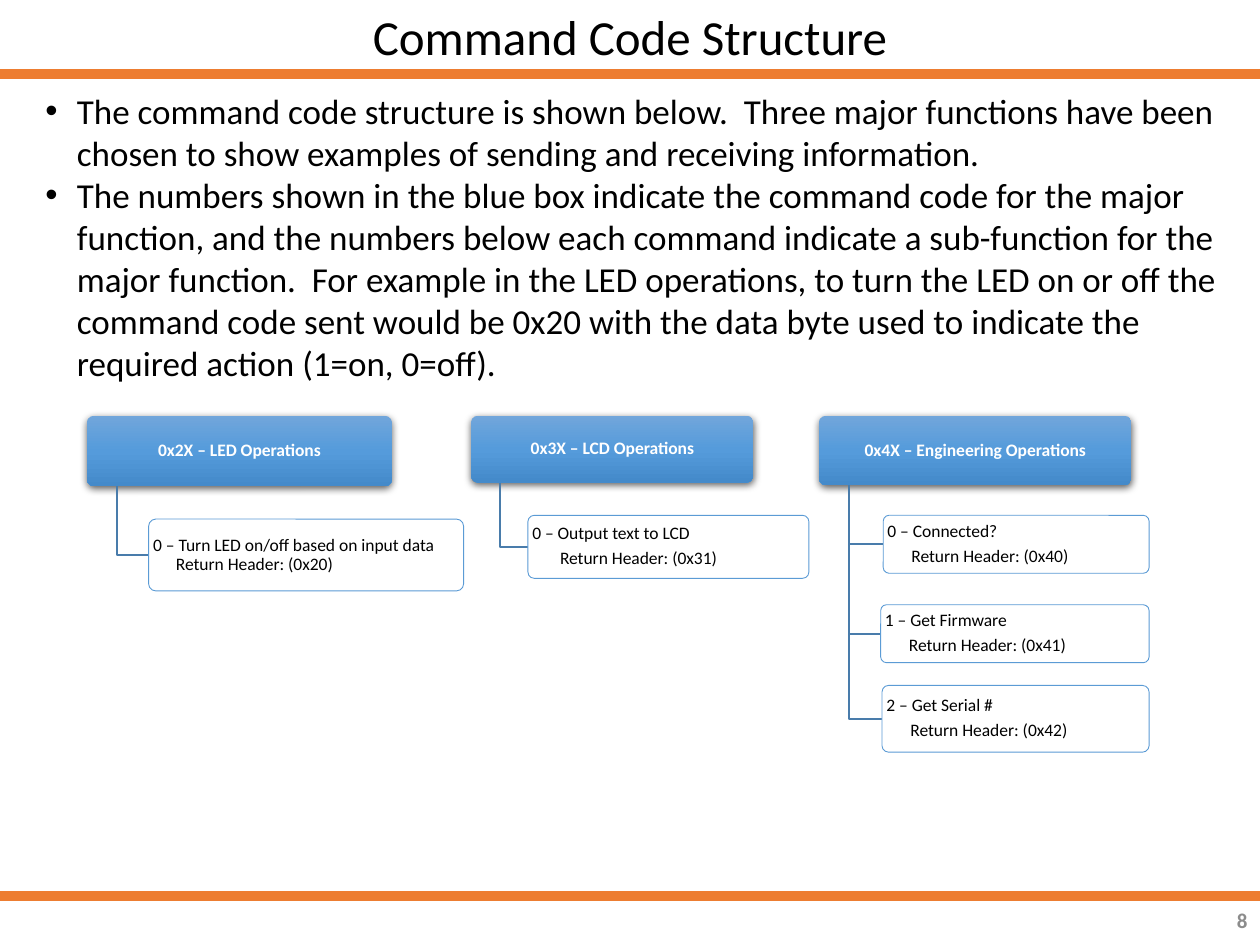
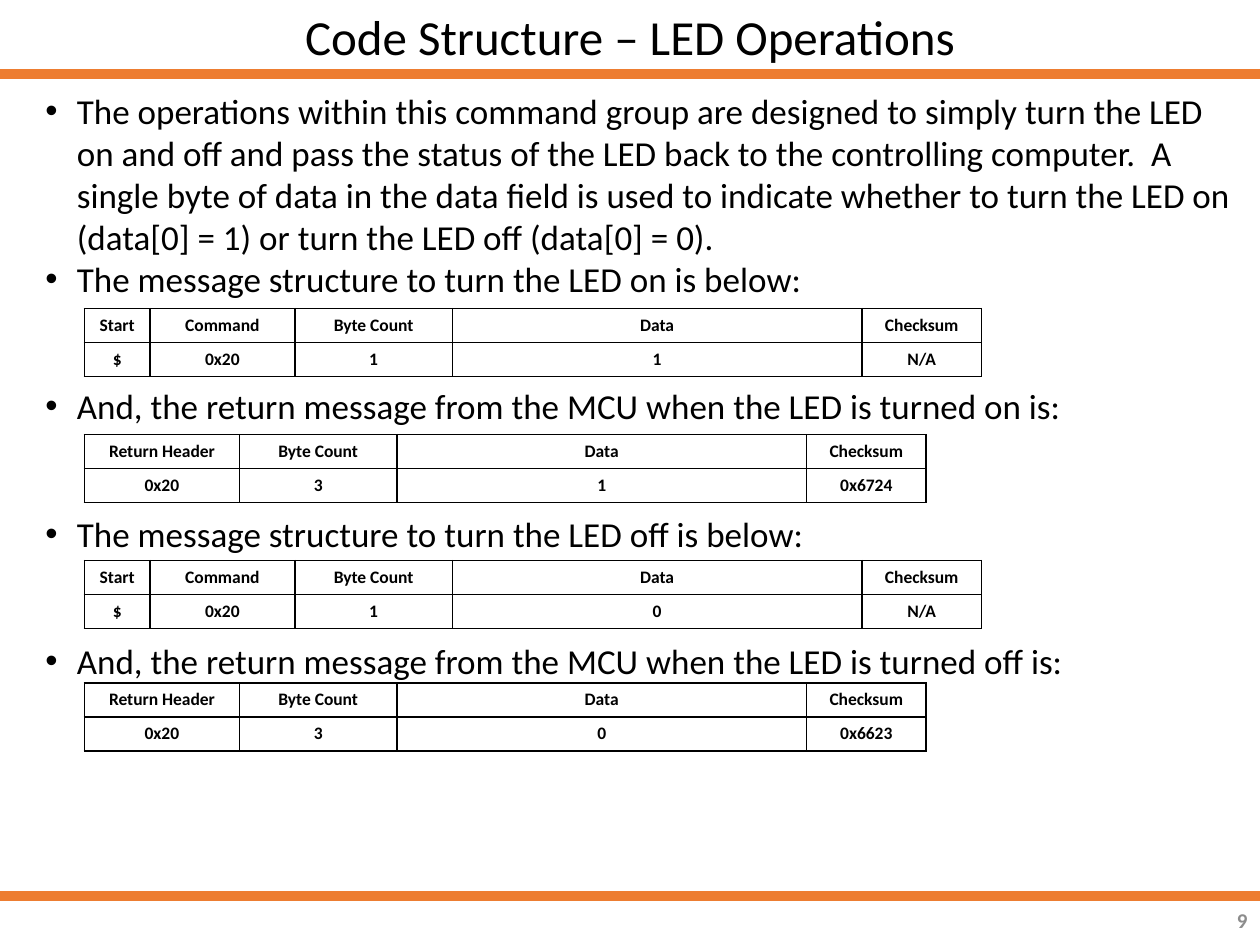
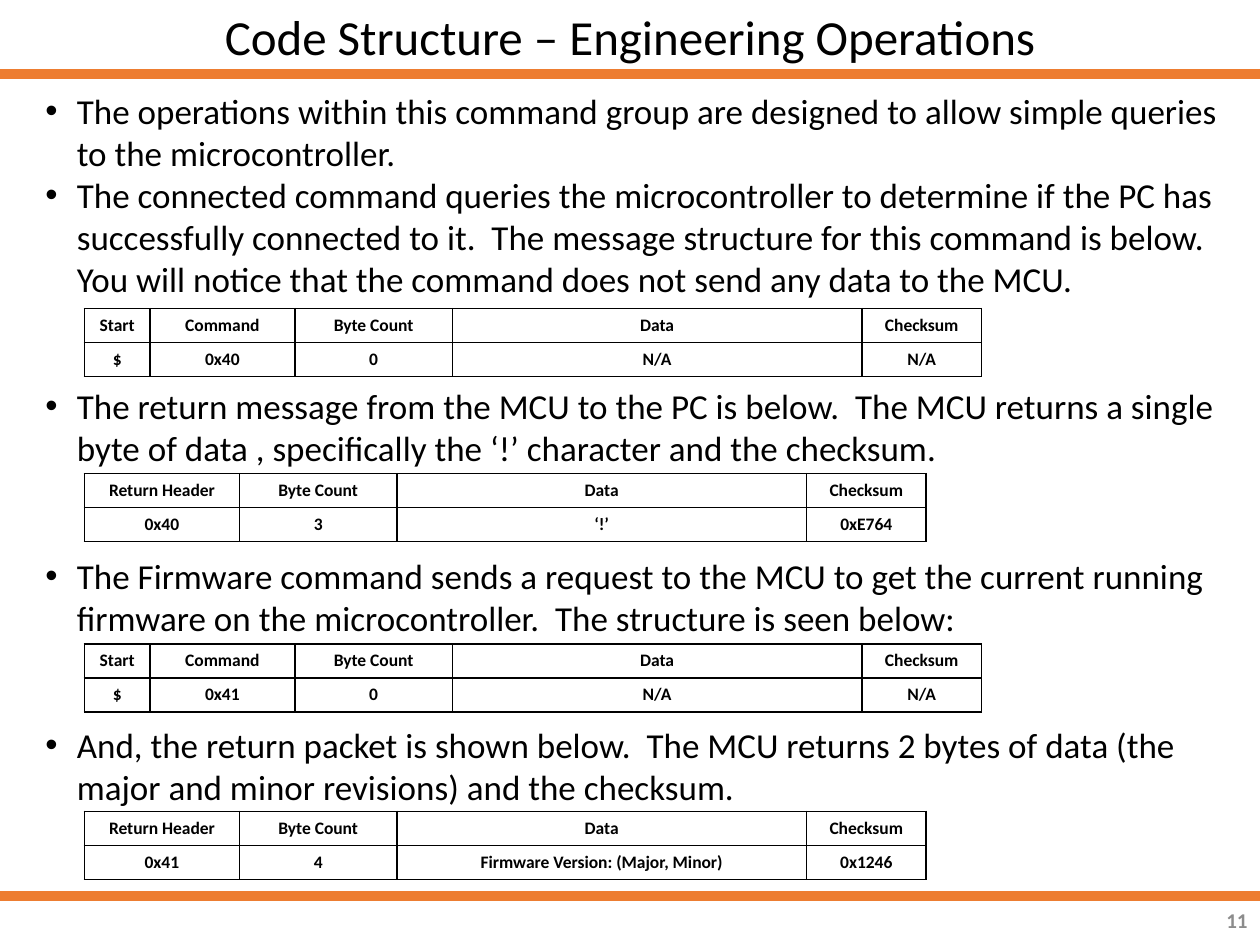
"""Build three slides on a serial command code structure."""
import copy
import pptx
import pptx.dml.color
import pptx.enum.shapes
import pptx.enum.text
import pptx.oxml
import pptx.oxml.ns
import pptx.util

Inches, Pt = pptx.util.Inches, pptx.util.Pt
qn = pptx.oxml.ns.qn
align = pptx.enum.text.PP_ALIGN
anchor = pptx.enum.text.MSO_ANCHOR
kinds = pptx.enum.shapes.MSO_SHAPE
ns = pptx.oxml.ns.nsdecls("a")
hues = {
    "text": "000000", "white": "FFFFFF", "band": "ED7D31", "page": "8C8C8C",
    "edge": "5B9BD5", "link": "497CAB",
    "top": "71A6DB", "mid": "559BDB", "base": "448ACA",
}


def rgb(name):
    return pptx.dml.color.RGBColor.from_string(hues[name])


def style(para, size, hue="text", bold=False, side=align.LEFT):
    para.alignment = side
    for run in para.runs:
        run.font.name = "Calibri"
        run.font.size = Pt(size)
        run.font.bold = bold
        run.font.color.rgb = rgb(hue)


pages = [
    ("8", "Command Code Structure", [
        "The command code structure is shown below.  Three major functions have been chosen "
        "to show examples of sending and receiving information.",
        "The numbers shown in the blue box indicate the command code for the major function, "
        "and the numbers below each command indicate a sub-function for the major function.  "
        "For example in the LED operations, to turn the LED on or off the command code sent "
        "would be 0x20 with the data byte used to indicate the required action (1=on, 0=off).",
    ], 2.46, []),
    ("9", "Code Structure – LED Operations", [
        "The operations within this command group are designed to simply turn the LED on and "
        "off and pass the status of the LED back to the controlling computer.  A single byte "
        "of data in the data field is used to indicate whether to turn the LED on "
        "(data[0] = 1) or turn the LED off (data[0] = 0).",
        "The message structure to turn the LED on is below:",
        "And, the return message from the MCU when the LED is turned on is:",
        "The message structure to turn the LED off is below:",
        "And, the return message from the MCU when the LED is turned off is:",
    ], 5.49, [
        (2.45, ["$", "0x20", "1", "1", "N/A"]),
        (3.45, ["0x20", "3", "1", "0x6724"]),
        (4.45, ["$", "0x20", "1", "0", "N/A"]),
        (5.42, ["0x20", "3", "0", "0x6623"]),
    ]),
    ("11", "Code Structure – Engineering Operations", [
        "The operations within this command group are designed to allow simple queries to the "
        "microcontroller.",
        "The connected command queries the microcontroller to determine if the PC has "
        "successfully connected to it.  The message structure for this command is below.  "
        "You will notice that the command does not send any data to the MCU.",
        "The return message from the MCU to the PC is below.  The MCU returns a single byte of "
        "data , specifically the ‘!’ character and the checksum.",
        "The Firmware command sends a request to the MCU to get the current running firmware "
        "on the microcontroller.  The structure is seen below:",
        "And, the return packet is shown below.  The MCU returns 2 bytes of data (the major "
        "and minor revisions) and the checksum.",
    ], 5.82, [
        (2.45, ["$", "0x40", "0", "N/A", "N/A"]),
        (3.76, ["0x40", "3", "‘!’", "0xE764"]),
        (5.11, ["$", "0x41", "0", "N/A", "N/A"]),
        (6.44, ["0x41", "4", "Firmware Version: (Major, Minor)", "0x1246"]),
    ]),
]
tail = [("Byte Count", 1.25), ("Data", 3.25), ("Checksum", 0.95)]
heads = {
    5: [("Start", 0.52), ("Command", 1.15)] + tail,
    4: [("Return Header", 1.23)] + tail,
}

deck = pptx.Presentation()
deck.slide_width, deck.slide_height = Inches(10), Inches(7.5)

for num, name, points, tall, grids in pages:
    slide = deck.slides.add_slide(deck.slide_layouts[1])
    title, body = slide.placeholders
    title.left, title.top, title.width, title.height = 0, 0, Inches(10), Inches(0.57)
    title.text_frame.text = name
    style(title.text_frame.paragraphs[0], 28, side=align.CENTER)

    body.left, body.top = Inches(0.26), Inches(0.66)
    body.width, body.height = Inches(9.61), Inches(tall)
    body.text_frame.text = "\n".join(points)
    for i, para in enumerate(body.text_frame.paragraphs):
        style(para, 20)
        para.space_before = Pt(48.8 if i > 1 else 0)
        props = para._p.get_or_add_pPr()
        props.set("marL", str(Inches(0.25)))
        props.set("indent", str(Inches(-0.25)))
    for frame in (title.text_frame, body.text_frame):
        frame.auto_size = pptx.enum.text.MSO_AUTO_SIZE.NONE

    for y in (0.59, 7.11):
        band = slide.shapes.add_connector(
            pptx.enum.shapes.MSO_CONNECTOR.STRAIGHT, 0, Inches(y), Inches(10), Inches(y))
        band.line.color.rgb = rgb("band")
        band.line.width = Pt(5.5)
        band._element.spPr.append(pptx.oxml.parse_xml(f"<a:effectLst {ns}/>"))

    page = slide.shapes.add_textbox(Inches(7.75), Inches(7.1), Inches(2.25), Inches(0.4))
    page.text_frame.word_wrap = True
    page.text_frame.vertical_anchor = anchor.MIDDLE
    page.text_frame.text = num
    style(page.text_frame.paragraphs[0], 12, "page", True, align.RIGHT)

    for y, vals in grids:
        cols = heads[len(vals)]
        wide = sum(w for label, w in cols)
        grid = slide.shapes.add_table(
            2, len(cols), Inches(0.67), Inches(y), Inches(wide), Inches(0.54)).table
        grid.first_row = grid.horz_banding = False
        for c, (label, w) in enumerate(cols):
            grid.columns[c].width = Inches(w)
            for r, text in enumerate((label, vals[c])):
                cell = grid.cell(r, c)
                cell.text_frame.text = text
                style(cell.text_frame.paragraphs[0], 10, bold=True, side=align.CENTER)
                cell.fill.background()
                for k, edge in enumerate("LRTB"):
                    cell._tc.tcPr.insert(k, pptx.oxml.parse_xml(
                        f'<a:ln{edge} {ns} w="12700"><a:solidFill>'
                        f'<a:srgbClr val="{hues["text"]}"/></a:solidFill></a:ln{edge}>'))

trees = [
    ("0x2X – LED Operations", 0.69, 2.42, 0.56, 0.93, 0, [
        (["0 – Turn LED on/off based on input data  Return Header: (0x20)"],
         1.18, 4.12, 2.5, 0.57)]),
    ("0x3X – LCD Operations", 3.74, 2.24, 0.53, 3.97, 0.22, [
        (["0 – Output text to LCD", "Return Header: (0x31)"], 4.19, 4.09, 2.23, 0.5)]),
    ("0x4X – Engineering Operations", 6.5, 2.48, 0.55, 6.74, 0.19, [
        (["0 – Connected?", "Return Header: (0x40)"], 7.01, 4.09, 2.11, 0.46),
        (["1 – Get Firmware", "Return Header: (0x41)"], 6.99, 4.8, 2.13, 0.46),
        (["2 – Get Serial #", "Return Header: (0x42)"], 7, 5.44, 2.12, 0.53)]),
]
shapes = deck.slides[0].shapes
top = 3.3
for name, left, wide, high, stem, inset, leaves in trees:
    boxes = [([name], left, top, wide, high)] + leaves
    for i, (lines, x, y, w, h) in enumerate(boxes):
        if i:
            link = shapes.build_freeform(Inches(stem), Inches(top + high))
            link.add_line_segments(
                [(Inches(stem), Inches(y + h / 2)), (Inches(x), Inches(y + h / 2))], close=False)
            link = link.convert_to_shape()
            link.shadow.inherit = False
            link.fill.background()
            link.line.color.rgb = rgb("link")
            link.line.width = Pt(1)
        box = shapes.add_shape(
            kinds.ROUNDED_RECTANGLE, Inches(x), Inches(y), Inches(w), Inches(h))
        box.adjustments[0] = 0.1
        box.shadow.inherit = False
        frame = box.text_frame
        frame.word_wrap = True
        frame.vertical_anchor = anchor.MIDDLE
        frame.margin_left = frame.margin_right = Inches(0.02)
        frame.margin_top = frame.margin_bottom = Inches(0.01)
        frame.text = "\n".join(lines)
        for k, para in enumerate(frame.paragraphs):
            para.line_spacing = 0.9
            para.space_after = Pt(3.5)
            if i == 0:
                style(para, 10, "white", True, align.CENTER)
                continue
            style(para, 10)
            props = para._p.get_or_add_pPr()
            if len(lines) == 1:
                props.set("marL", str(Inches(0.18)))
                props.set("indent", str(Inches(-0.18)))
            elif k:
                props.set("marL", str(Inches(inset)))
        if i:
            box.fill.solid()
            box.fill.fore_color.rgb = rgb("white")
            box.line.color.rgb = rgb("edge")
            box.line.width = Pt(0.5)
            continue
        box.line.fill.background()
        box.fill.gradient()
        box.fill.gradient_angle = 270
        stops = box._element.spPr.find(".//" + qn("a:gsLst"))
        stops.insert(1, copy.deepcopy(stops[0]))
        for stop, spot, hue in zip(box.fill.gradient_stops, (0, 0.5, 1), ("top", "mid", "base")):
            stop.position = spot
            stop.color.rgb = rgb(hue)
        box._element.spPr.find(qn("a:effectLst")).append(pptx.oxml.parse_xml(
            f'<a:outerShdw {ns} blurRad="{Pt(4.5)}" dist="{Pt(1.5)}" dir="5400000">'
            f'<a:srgbClr val="{hues["text"]}"><a:alpha val="63000"/></a:srgbClr></a:outerShdw>'))

deck.save("out.pptx")
